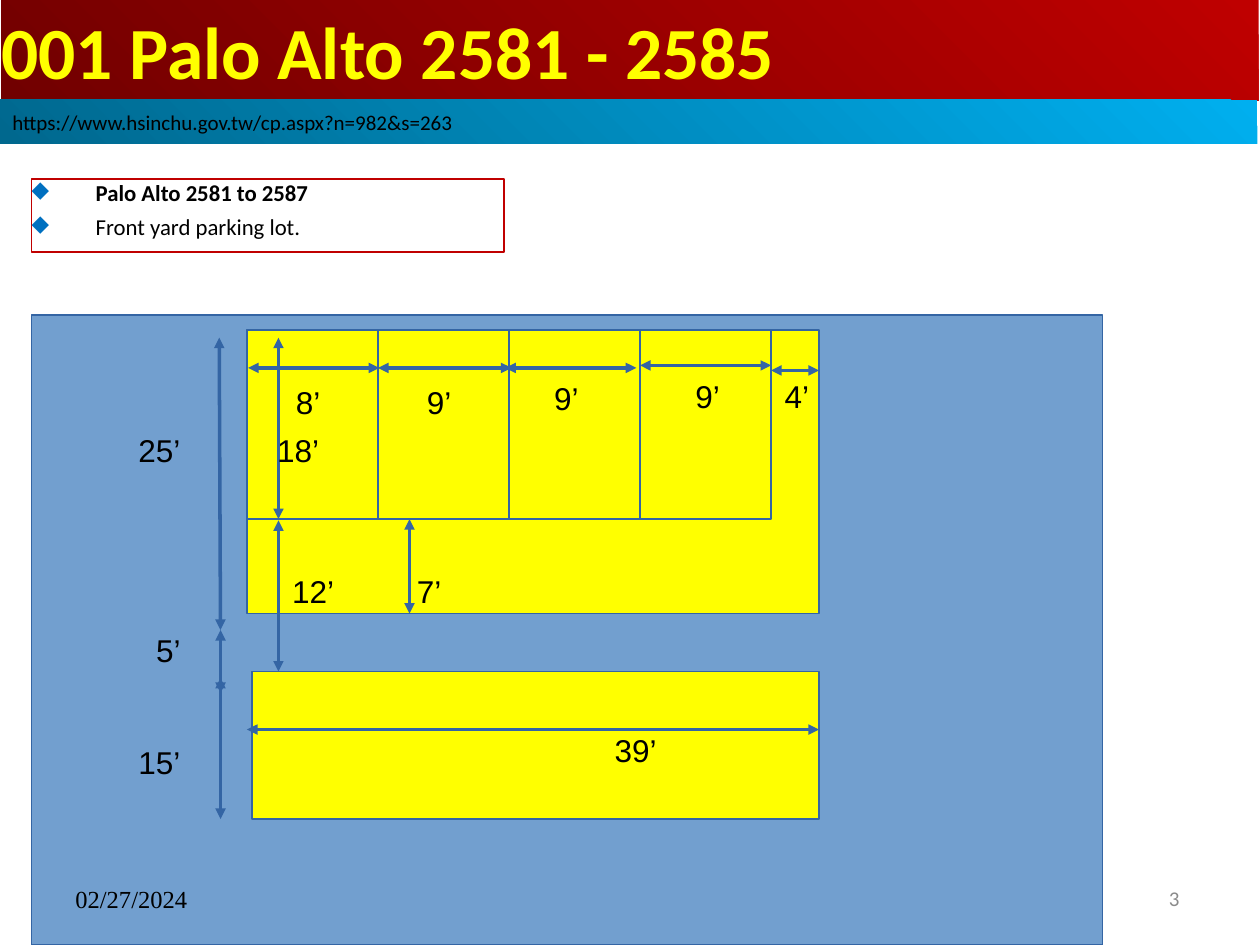
import pptx
import pptx.util
import pptx.dml.color
import pptx.enum.shapes
import pptx.enum.text
import pptx.oxml
import pptx.oxml.ns
import lxml.etree

Inches = pptx.util.Inches
Pt = pptx.util.Pt
ALIGN = pptx.enum.text.PP_ALIGN
ANCHOR = pptx.enum.text.MSO_ANCHOR
qn = pptx.oxml.ns.qn

HUES = {
    "red": "BF0000", "wine": "710000", "sky": "00AFEF", "sea": "00688E",
    "sun": "FFFF00", "lot": "729FCF", "edge": "3465A4", "frame": "C00000",
    "mark": "0070C0", "ink": "000000", "gray": "8B8B8B",
}


def hue(name):
    """Return the named colour."""
    return pptx.dml.color.RGBColor.from_string(HUES[name])


def rect(slide, box, fill=None, line=None, fade=None):
    """Draw a rectangle with a plain fill, a two-colour fade or no fill."""
    shape = slide.shapes.add_shape(
        pptx.enum.shapes.MSO_SHAPE.RECTANGLE, *map(Inches, box))
    shape.shadow.inherit = False
    if fade:
        shape.fill.gradient()
        shape.fill.gradient_angle = 225
        for stop, name in zip(shape.fill.gradient_stops, fade):
            stop.color.rgb = hue(name)
    elif fill:
        shape.fill.solid()
        shape.fill.fore_color.rgb = hue(fill)
    else:
        shape.fill.background()
    if line:
        shape.line.color.rgb = hue(line)
        shape.line.width = Pt(0)
    else:
        shape.line.fill.background()
    return shape


def write(shape, text, size=18, font="Arial", color="ink", bold=False,
          align=ALIGN.LEFT, anchor=ANCHOR.TOP, pad=(0.1, 0.05), more=False):
    """Write one paragraph into a shape, after the others if more is set."""
    frame = shape.text_frame
    frame.word_wrap = True
    frame.vertical_anchor = anchor
    frame.margin_left = frame.margin_right = Inches(pad[0])
    frame.margin_top = frame.margin_bottom = Inches(pad[1])
    para = frame.add_paragraph() if more else frame.paragraphs[0]
    para.alignment = align
    run = para.add_run()
    run.text = text
    run.font.size = Pt(size)
    run.font.name = font
    run.font.bold = bold
    run.font.color.rgb = hue(color)
    return para


def label(slide, box, text, **form):
    """Place a text box."""
    write(slide.shapes.add_textbox(*map(Inches, box)), text, **form)


def bullet(para):
    """Give a paragraph a diamond bullet with a hanging indent."""
    para.space_before = Pt(3.6)
    props = para._p.get_or_add_pPr()
    props.set("marL", str(Inches(0.51)))
    props.set("indent", str(-Inches(0.51)))
    tint = lxml.etree.SubElement(props, qn("a:buClr"))
    lxml.etree.SubElement(tint, qn("a:srgbClr"), val=HUES["mark"])
    lxml.etree.SubElement(props, qn("a:buChar"), char="◆")


def arrow(slide, start, end):
    """Draw a hairline with a triangle at both ends."""
    line = slide.shapes.add_connector(
        pptx.enum.shapes.MSO_CONNECTOR.STRAIGHT, *map(Inches, start + end))
    line.line.color.rgb = hue("edge")
    line.line.width = Pt(0)
    stroke = line.line._get_or_add_ln()
    for tip in ("a:headEnd", "a:tailEnd"):
        lxml.etree.SubElement(stroke, qn(tip), type="triangle")
    lxml.etree.SubElement(line._element.spPr, qn("a:effectLst"))


def header(slide, box):
    """Draw the title band and the address band below it."""
    x, y, w, h = box
    title = rect(slide, (x + 0.01, y, w, 0.8), fade=("red", "wine"))
    write(title, "001 Palo Alto 2581 - 2585", size=42, font="Calibri",
          color="sun", bold=True, anchor=ANCHOR.MIDDLE, pad=(0, 0))
    link = rect(slide, (x, y + 0.79, w, h - 0.79), fade=("sky", "sea"))
    write(link, "https://www.hsinchu.gov.tw/cp.aspx?n=982&s=263", size=12,
          font="Calibri", anchor=ANCHOR.MIDDLE)


def notes(slide, box):
    """Draw the framed bullet list."""
    frame = rect(slide, box, line="frame")
    lines = ("Palo Alto 2581 to 2587", "Front yard parking lot.")
    for i, text in enumerate(lines):
        bullet(write(frame, text, size=13, font="Calibri", bold=i == 0,
                     pad=(0, 0), more=i > 0))


def plan(slide, box):
    """Draw the parking lot with its stalls and measures."""
    x, y = box[:2]
    rect(slide, box, "lot", "edge")
    rect(slide, (x + 1.71, y + 0.12, 4.54, 2.25), "sun", "edge")
    rect(slide, (x + 1.75, y + 2.83, 4.5, 1.17), "sun", "edge")
    for i in range(4):
        rect(slide, (x + 1.71 + 1.04 * i, y + 0.12, 1.04, 1.5), "sun", "edge")
    spans = [
        ("25’", (1.49, 0.18), (1.5, 2.5), (0.75, 0.87)),
        ("18’", (1.96, 0.18), (1.96, 1.62), (1.85, 0.87)),
        ("15’", (1.5, 2.88), (1.5, 4), (0.75, 3.35)),
        ("5’", (1.5, 2.5), (1.5, 3), (0.89, 2.46)),
        ("12’", (1.96, 1.63), (1.96, 2.83), (1.97, 1.99)),
        ("39’", (1.71, 3.29), (6.25, 3.29), (4.53, 3.25)),
        ("8’", (1.72, 0.42), (2.76, 0.42), (2, 0.49)),
        ("9’", (2.75, 0.42), (3.81, 0.42), (3.04, 0.49)),
        ("9’", (3.76, 0.42), (4.8, 0.42), (4.05, 0.46)),
        ("9’", (4.83, 0.4), (5.87, 0.4), (5.17, 0.44)),
        ("4’", (5.87, 0.44), (6.25, 0.44), (5.88, 0.44)),
        ("7’", (3, 1.62), (3, 2.37), (2.96, 1.99)),
    ]
    for text, start, end, spot in spans:
        arrow(slide, (x + start[0], y + start[1]), (x + end[0], y + end[1]))
        wide = 0.75 if spot[0] < 5 and text != "5’" else 0.5
        label(slide, (x + spot[0], y + spot[1], wide, 0.38), text)


def footer(slide, box):
    """Place the date at the left and the page number at the right."""
    x, y, w, h = box
    label(slide, (x, y, 2.29, h), "02/27/2024", size=14,
          font="Times New Roman", anchor=ANCHOR.MIDDLE)
    label(slide, (x + w - 2.29, y, 2.29, h), "3", size=12, font="Calibri",
          color="gray", align=ALIGN.RIGHT, anchor=ANCHOR.MIDDLE)


def main():
    """Build and save the slide."""
    deck = pptx.Presentation()
    deck.slide_width, deck.slide_height = Inches(10), Inches(7.5)
    slide = deck.slides.add_slide(deck.slide_layouts[6])
    header(slide, (0, 0, 9.98, 1.14))
    notes(slide, (0.25, 1.42, 3.75, 0.58))
    plan(slide, (0.25, 2.5, 8.5, 5))
    footer(slide, (0.5, 6.95, 8.96, 0.36))
    deck.save("out.pptx")


if __name__ == "__main__":
    main()
